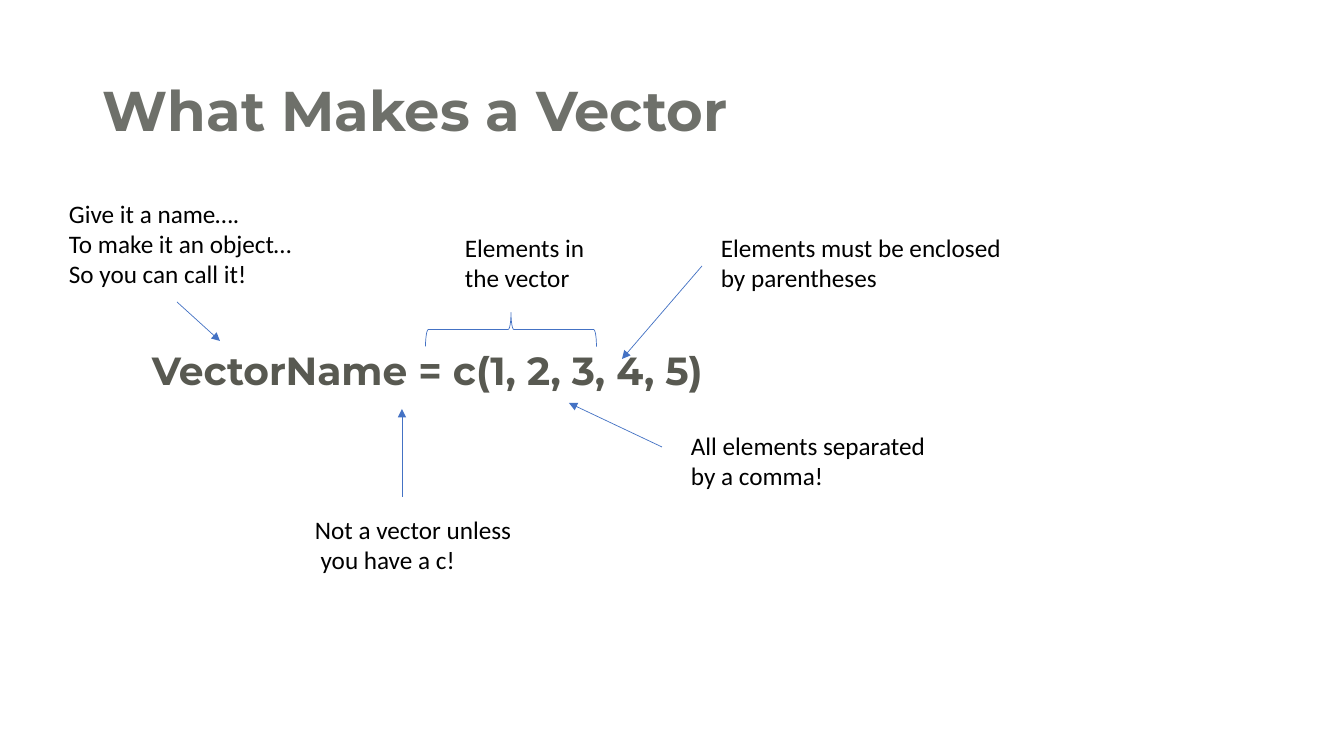
"""Build a slide that labels the parts of a vector."""
import pptx
import pptx.util
import pptx.dml.color
import pptx.enum.shapes
import pptx.enum.text
import pptx.oxml.ns
import lxml.etree

SIZE = (1344, 756)
UNIT = 914400 / 100.8
BLUE = "4472C4"
THIN = 0.5

HEADS = [
    ("What Makes a Vector", (93, 40, 1159, 146), 40, "6E706A", "MIDDLE"),
    ("VectorName = c(1, 2, 3, 4, 5)", (142, 347, 1159, 62), 28, "585951", "TOP"),
]
NOTES = [
    ("Not a vector unless\n you have a c!", (305, 509, 218, 72)),
    ("Elements in the vector", (455, 227, 142, 72)),
    ("All elements separated by a comma!", (681, 425, 271, 72)),
    ("Elements must be enclosed by parentheses", (711, 227, 327, 72)),
    ("Give it a name….\nTo make it an object…\nSo you can call it!", (59, 193, 278, 102)),
]
ARROWS = [
    (402, 497, 402, 409),
    (662, 447, 569, 403),
    (702, 266, 622, 359),
    (177, 302, 220, 341),
]
BRACE = (494, 244, 34, 171)


def px(nums):
    return [pptx.util.Emu(round(n * UNIT)) for n in nums]


def color(code):
    return pptx.dml.color.RGBColor.from_string(code)


def write(slide, text, area, size, font, code, bold=False, anchor="TOP", space=None):
    frame = slide.shapes.add_textbox(*px(area)).text_frame
    frame.word_wrap = True
    frame.vertical_anchor = pptx.enum.text.MSO_ANCHOR[anchor]
    frame.text = text
    for para in frame.paragraphs:
        para.line_spacing = space
        for run in para.runs:
            run.font.name = font
            run.font.size = pptx.util.Pt(size)
            run.font.bold = bold
            run.font.color.rgb = color(code)


def stroke(shape):
    shape.line.color.rgb = color(BLUE)
    shape.line.width = pptx.util.Pt(THIN)


def arrow(slide, ends):
    kind = pptx.enum.shapes.MSO_CONNECTOR.STRAIGHT
    link = slide.shapes.add_connector(kind, *px(ends))
    stroke(link)
    tag = pptx.oxml.ns.qn
    tip = lxml.etree.SubElement(link.line._get_or_add_ln(), tag("a:tailEnd"))
    tip.set("type", "triangle")
    lxml.etree.SubElement(link._element.spPr, tag("a:effectLst"))


def brace(slide):
    kind = pptx.enum.shapes.MSO_SHAPE.RIGHT_BRACE
    shape = slide.shapes.add_shape(kind, *px(BRACE))
    shape.rotation = 270
    shape.shadow.inherit = False
    shape.fill.background()
    stroke(shape)


def main():
    deck = pptx.Presentation()
    deck.slide_width, deck.slide_height = px(SIZE)
    slide = deck.slides.add_slide(deck.slide_layouts[6])
    for text, area, size, code, anchor in HEADS:
        write(slide, text, area, size, "Montserrat", code, True, anchor, 0.9)
    for ends in ARROWS:
        arrow(slide, ends)
    brace(slide)
    for text, area in NOTES:
        write(slide, text, area, 18, "Calibri", "000000")
    deck.save("out.pptx")


if __name__ == "__main__":
    main()
